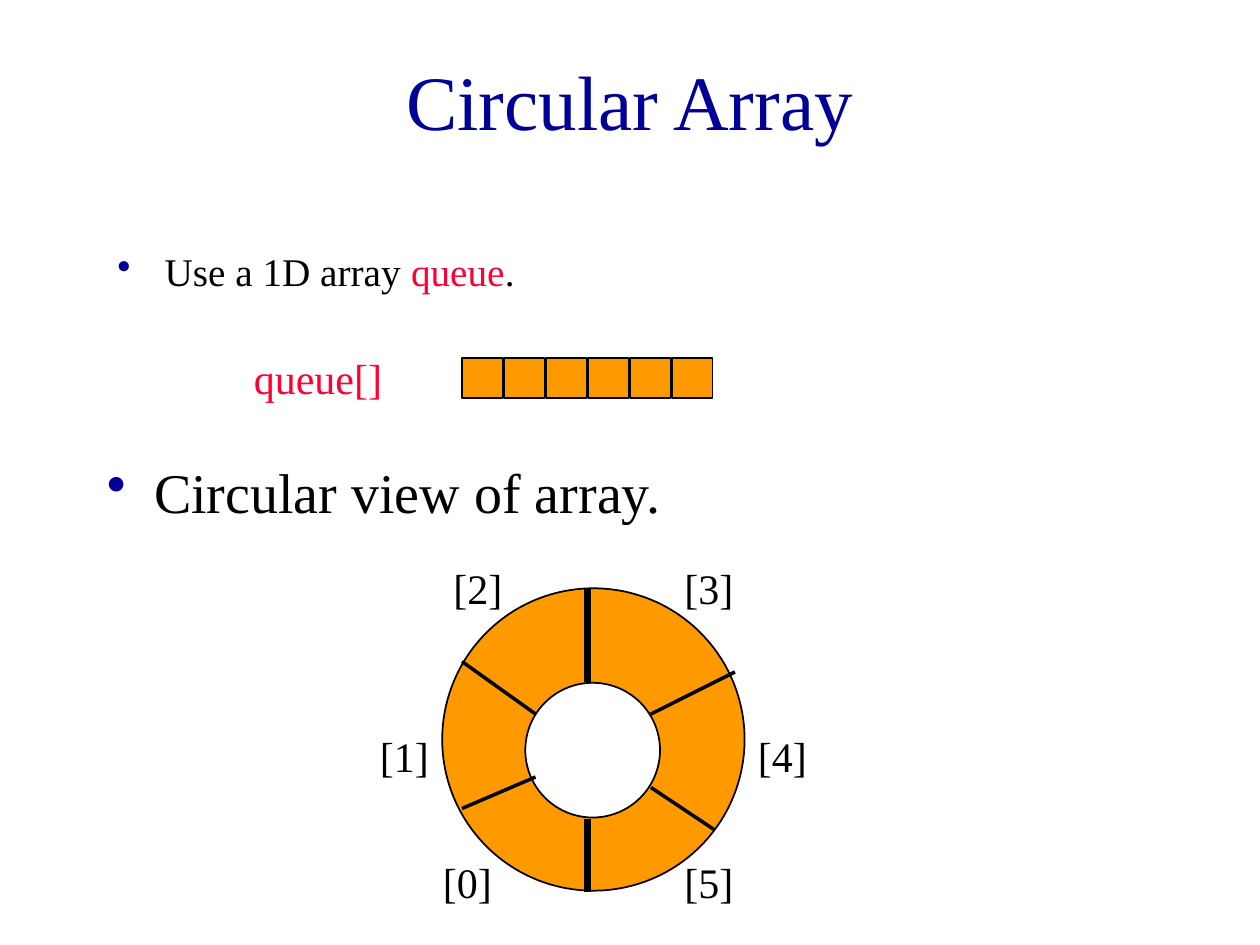
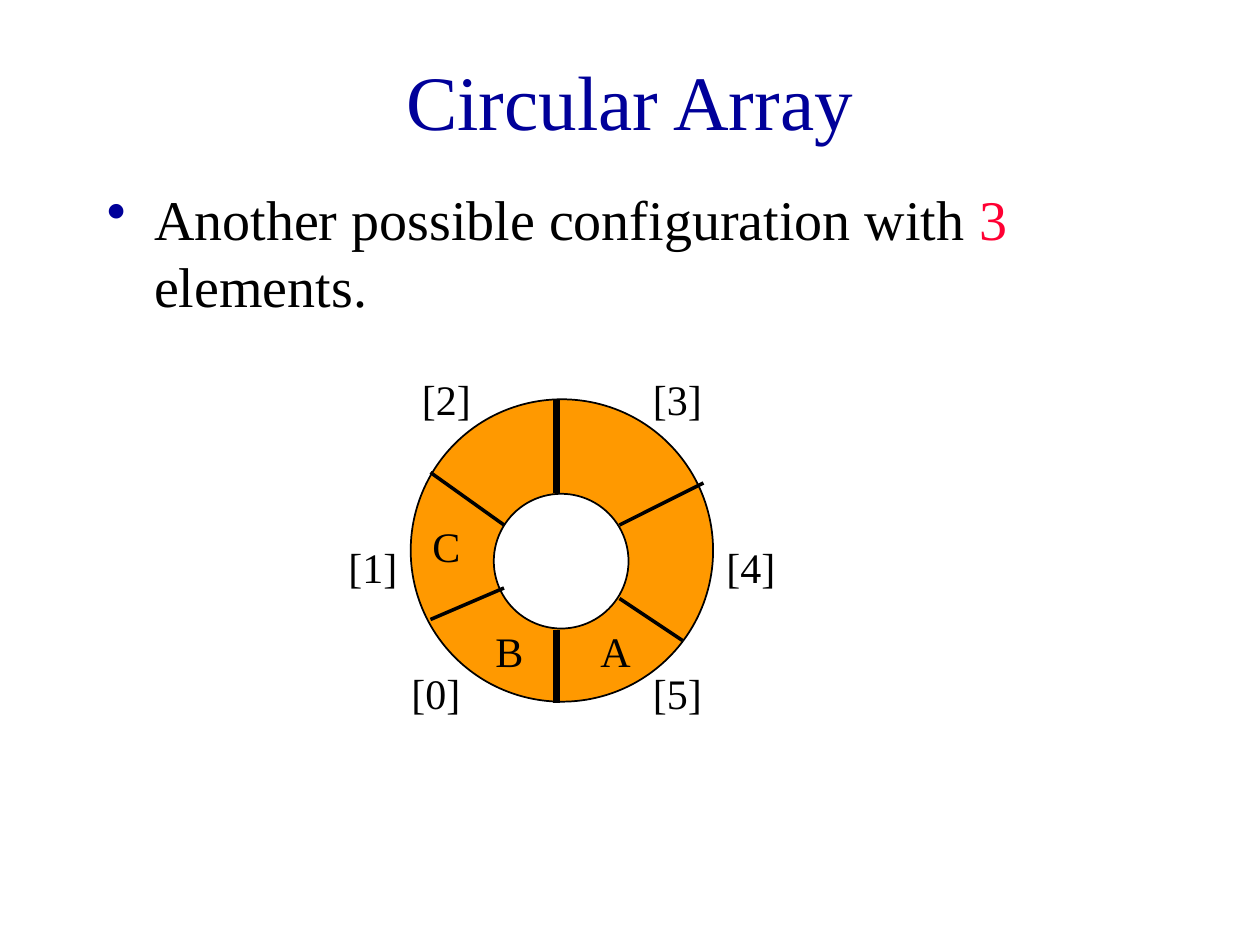
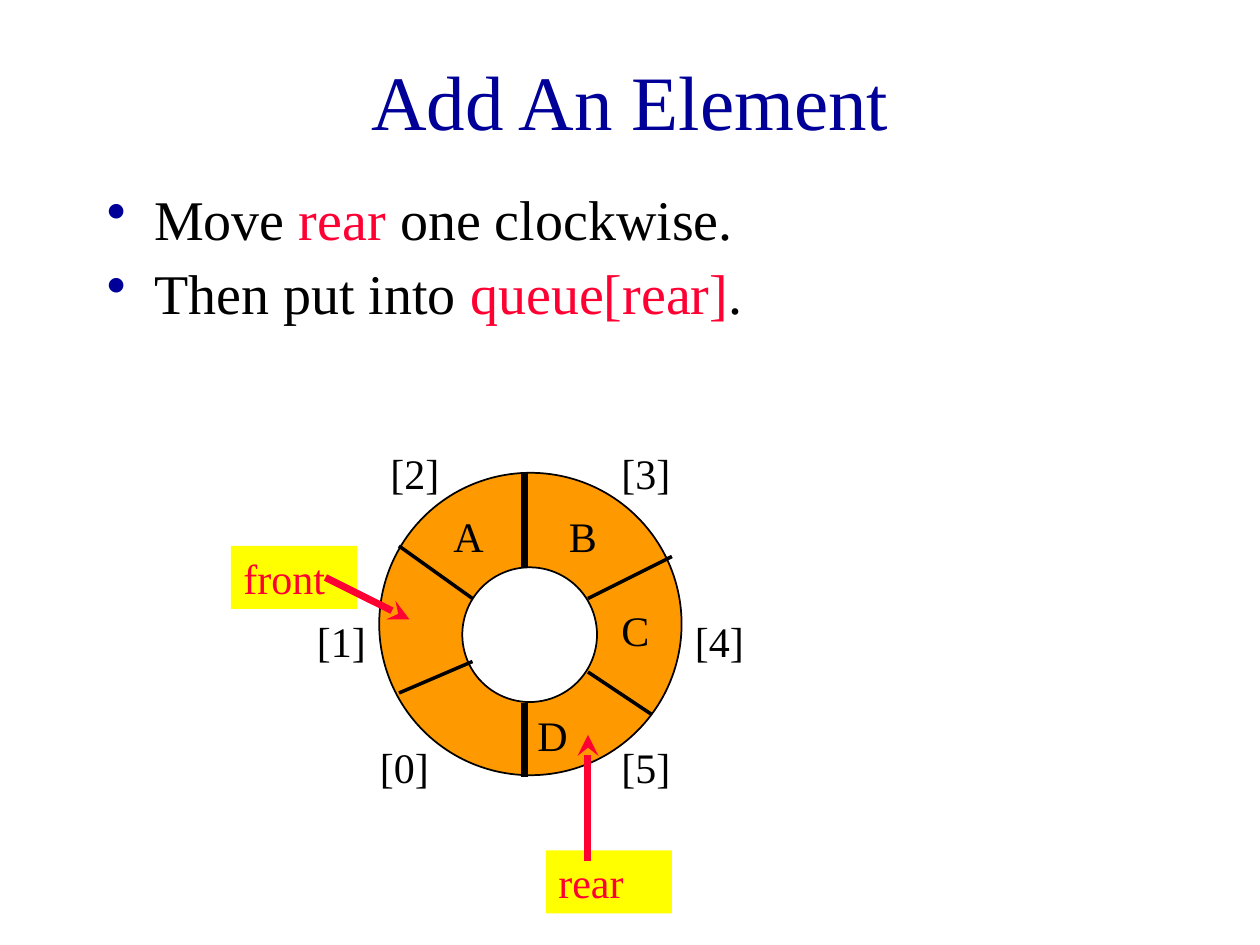
import pptx
import pptx.util
import pptx.dml.color
import pptx.enum.shapes
import pptx.enum.text
import pptx.oxml.ns
from lxml import etree

Pt = pptx.util.Pt
qn = pptx.oxml.ns.qn
SHAPE = pptx.enum.shapes.MSO_SHAPE
FONT = "Times New Roman"
COLORS = {
    name: pptx.dml.color.RGBColor.from_string(value)
    for name, value in {
        "navy": "000099",
        "black": "000000",
        "red": "FF0033",
        "orange": "FF9900",
        "yellow": "FFFF00",
        "white": "FFFFFF",
    }.items()
}

RING_CIRCLES = [(-83.3, 0.2, 172.8, "orange"), (-35.8, 54.2, 77, "white")]
RING_DIVIDERS = [
    (0, 0, 0, 54, 4),
    (0, 132, 0, 174, 4),
    (-72, 42, -30, 72, 2),
    (-30, 108, -72, 126, 2),
    (36, 72, 84, 48, 2),
    (36, 114, 72, 138, 2),
]
INDEX_PLACES = [(-90, 150), (-126, 78), (-84, -18), (48, -18), (90, 78), (48, 150)]

SLIDES = [
    {
        "title": "Circular Array",
        "bullets": [
            (60, 138, 612, 22.4, [("Use a 1D array ", "black"), ("queue", "red"), (".", "black")]),
            (54, 258, 612, 32, [("Circular view of array.", "black")]),
        ],
        "ring": (336, 336),
        "letters": [],
        "array_cells": 6,
        "pointers": [],
    },
    {
        "title": "Circular Array",
        "bullets": [
            (54, 102, 612, 32, [
                ("Another possible configuration with ", "black"),
                ("3 ", "red"),
                ("elements.", "black"),
            ]),
        ],
        "ring": (318, 228),
        "letters": [("A", 18, 126), ("B", -42, 126), ("C", -78, 66)],
        "array_cells": 0,
        "pointers": [],
    },
    {
        "title": "Add An Element",
        "bullets": [
            (54, 102, 648, 32, [("Move ", "black"), ("rear ", "red"), ("one clockwise.", "black")]),
            (54, 144, 648, 32, [("Then put into ", "black"), ("queue[rear]", "red"), (".", "black")]),
        ],
        "ring": (300, 270),
        "letters": [("A", -48, 18), ("B", 18, 18), ("C", 48, 72), ("D", 0, 132)],
        "array_cells": 0,
        "pointers": [
            ("front", 132, 312, (186, 330, 234, 354)),
            ("rear", 312, 486, (336, 492, 336, 420)),
        ],
    },
]


def add_text(page, left, top, width, spans, size=24, bullet=False):
    box = page.shapes.add_textbox(Pt(left), Pt(top), Pt(width), Pt(36))
    box.text_frame.word_wrap = True
    para = box.text_frame.paragraphs[0]
    if bullet:
        properties = para._p.get_or_add_pPr()
        properties.set("marL", str(Pt(27)))
        properties.set("indent", str(-Pt(27)))
        bullet_color = etree.SubElement(properties, qn("a:buClr"))
        etree.SubElement(bullet_color, qn("a:srgbClr"), val=str(COLORS["navy"]))
        etree.SubElement(properties, qn("a:buChar"), char="•")
    para.font.size = Pt(size)
    for text, color in spans:
        span = para.add_run()
        span.text = text
        span.font.name = FONT
        span.font.size = Pt(size)
        span.font.color.rgb = COLORS[color]
    return box


def add_line(page, x1, y1, x2, y2, width, color="black", arrow=False):
    line = page.shapes.add_connector(
        pptx.enum.shapes.MSO_CONNECTOR.STRAIGHT, Pt(x1), Pt(y1), Pt(x2), Pt(y2)
    )
    line.line.width = Pt(width)
    line.line.color.rgb = COLORS[color]
    if arrow:
        etree.SubElement(line.line._get_or_add_ln(), qn("a:tailEnd"), type="stealth")
    etree.SubElement(line._element.spPr, qn("a:effectLst"))


deck = pptx.Presentation()
deck.slide_width = Pt(720)
deck.slide_height = Pt(540)

for content in SLIDES:
    page = deck.slides.add_slide(deck.slide_layouts[5])
    ring_x, ring_y = content["ring"]

    title = page.shapes.title
    title.left, title.top, title.width, title.height = Pt(54), Pt(12), Pt(612), Pt(90)
    title.text_frame.vertical_anchor = pptx.enum.text.MSO_ANCHOR.MIDDLE
    para = title.text_frame.paragraphs[0]
    para.alignment = pptx.enum.text.PP_ALIGN.CENTER
    span = para.add_run()
    span.text = content["title"]
    span.font.name = FONT
    span.font.size = Pt(44)
    span.font.color.rgb = COLORS["navy"]

    for left, top, width, size, spans in content["bullets"]:
        add_text(page, left, top, width, spans, size, bullet=True)

    figures = [
        (SHAPE.RECTANGLE, 264.2 + 24 * cell, 204.5, 23, "orange")
        for cell in range(content["array_cells"])
    ] + [
        (SHAPE.OVAL, ring_x + x, ring_y + y, size, color)
        for x, y, size, color in RING_CIRCLES
    ]
    for kind, left, top, size, color in figures:
        figure = page.shapes.add_shape(kind, Pt(left), Pt(top), Pt(size), Pt(size))
        figure.shadow.inherit = False
        figure.fill.solid()
        figure.fill.fore_color.rgb = COLORS[color]
        figure.line.color.rgb = COLORS["black"]
        figure.line.width = Pt(1)
    if content["array_cells"]:
        add_text(page, 138, 198, 102, [("queue[]", "red")])

    for x1, y1, x2, y2, width in RING_DIVIDERS:
        add_line(page, ring_x + x1, ring_y + y1, ring_x + x2, ring_y + y2, width)
    for index, (x, y) in enumerate(INDEX_PLACES):
        add_text(page, ring_x + x, ring_y + y, 66, [(f"[{index}]", "black")])
    for letter, x, y in content["letters"]:
        add_text(page, ring_x + x, ring_y + y, 48, [(letter, "black")])

    for name, left, top, arrow_ends in content["pointers"]:
        box = add_text(page, left, top, 72, [(name, "red")])
        box.fill.solid()
        box.fill.fore_color.rgb = COLORS["yellow"]
        add_line(page, *arrow_ends, 4, "red", arrow=True)

deck.save("out.pptx")
